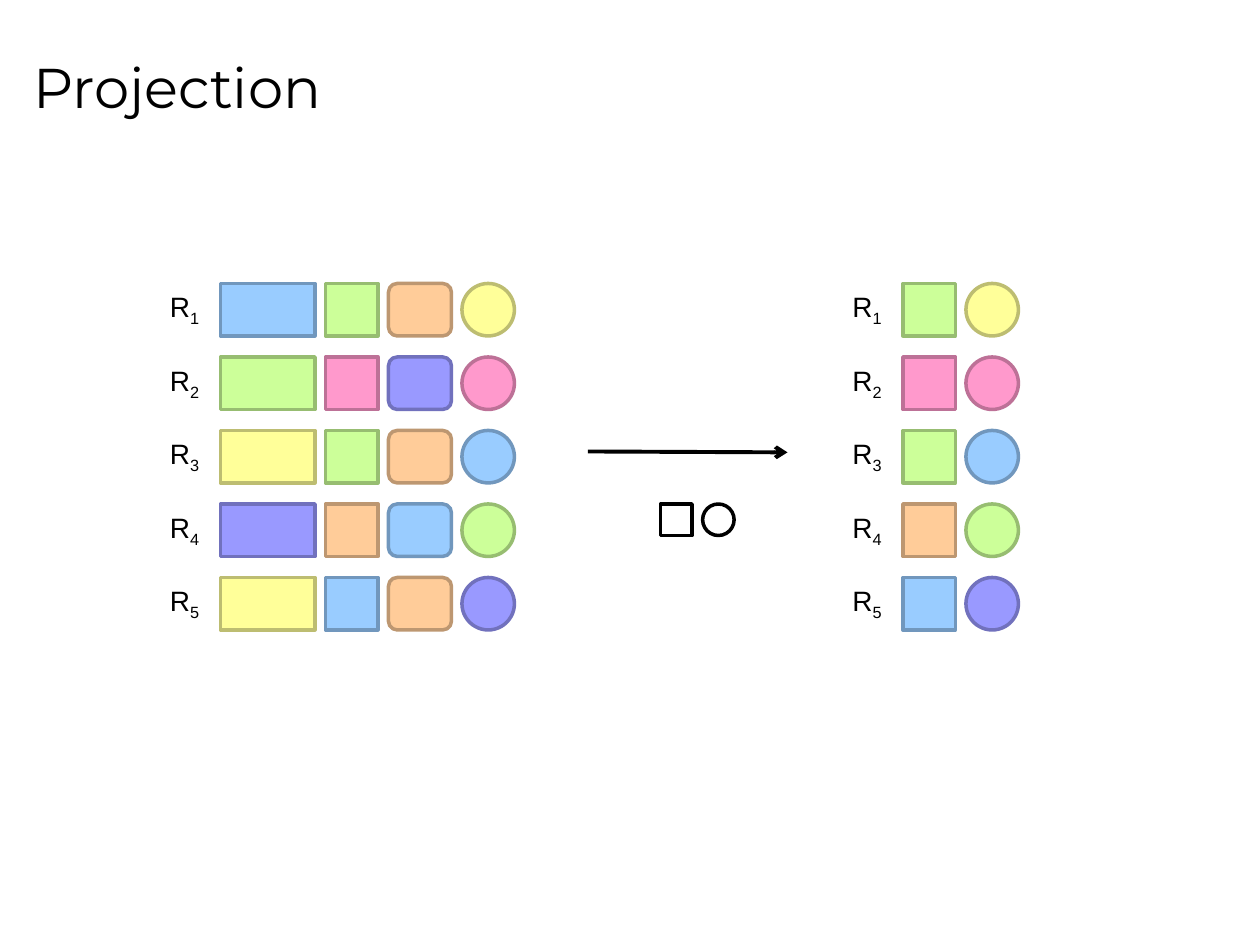
from lxml import etree
from pptx import Presentation
from pptx import util as u
from pptx.dml import color
from pptx.enum import shapes, text
from pptx.oxml import ns

BLACK = color.RGBColor(0x00, 0x00, 0x00)
BLUE = color.RGBColor(0x99, 0xCC, 0xFF)
GREEN = color.RGBColor(0xCC, 0xFF, 0x99)
ORANGE = color.RGBColor(0xFF, 0xCC, 0x99)
YELLOW = color.RGBColor(0xFF, 0xFF, 0x99)
PINK = color.RGBColor(0xFF, 0x99, 0xCC)
VIOLET = color.RGBColor(0x99, 0x99, 0xFF)
EDGES = {
    BLUE: color.RGBColor(0x71, 0x97, 0xBD),
    GREEN: color.RGBColor(0x97, 0xBD, 0x71),
    ORANGE: color.RGBColor(0xBD, 0x97, 0x71),
    YELLOW: color.RGBColor(0xBD, 0xBD, 0x71),
    PINK: color.RGBColor(0xBD, 0x71, 0x97),
    VIOLET: color.RGBColor(0x71, 0x71, 0xBD),
}

RECT = shapes.MSO_SHAPE.RECTANGLE
ROUNDED = shapes.MSO_SHAPE.ROUNDED_RECTANGLE
OVAL = shapes.MSO_SHAPE.OVAL

RECORDS = [
    (BLUE, GREEN, ORANGE, YELLOW),
    (GREEN, PINK, VIOLET, PINK),
    (YELLOW, GREEN, ORANGE, BLUE),
    (VIOLET, ORANGE, BLUE, GREEN),
    (YELLOW, BLUE, ORANGE, VIOLET),
]
ATTRIBUTES = [(RECT, 54), (RECT, 30), (ROUNDED, 36), (OVAL, 30)]
PROJECTED = (1, 3)
TOP, ROW_PITCH, CELL_HEIGHT, GAP = 162, 42, 30, 6


def assign(target, values):
    for key, value in values.items():
        setattr(target, key, value)


class Deck:
    """Draw relation diagrams on the current slide in one shared style."""

    title_font = {"name": "Montserrat", "size": u.Pt(32)}
    label_font = {"name": "Arial", "size": u.Pt(16)}
    title_frame = {"word_wrap": True, "vertical_anchor": text.MSO_ANCHOR.MIDDLE}
    label_frame = {"word_wrap": False, "auto_size": text.MSO_AUTO_SIZE.SHAPE_TO_FIT_TEXT}

    def __init__(self, width, height):
        self.prs = Presentation()
        assign(self.prs, {"slide_width": u.Pt(width), "slide_height": u.Pt(height)})
        self.slide = self.prs.slides.add_slide(self.prs.slide_layouts[6])

    def text_box(self, left, top, width, height, frame_format):
        box = self.slide.shapes.add_textbox(*map(u.Pt, (left, top, width, height)))
        assign(box.text_frame, frame_format)
        return box.text_frame.paragraphs[0]

    def run(self, paragraph, wording, font_format):
        run = paragraph.add_run()
        run.text = wording
        assign(run.font, font_format)
        run.font.color.rgb = BLACK
        return run

    def title(self, wording):
        heading = self.text_box(12, 9, 684, 80.5, self.title_frame)
        self.run(heading, wording, self.title_font)

    def label(self, left, top, number):
        record_name = self.text_box(left, top, 32.5, 26.5, self.label_frame)
        self.run(record_name, "R", self.label_font)
        subscript = self.run(record_name, str(number), self.label_font)
        subscript.font._element.set("baseline", "-25000")

    def cell(self, kind, left, top, width, height, fill=None, parent=None):
        owner = parent or self.slide
        cell = owner.shapes.add_shape(kind, *map(u.Pt, (left, top, width, height)))
        cell.shadow.inherit = False
        if fill is None:
            cell.fill.background()
        else:
            cell.fill.solid()
            cell.fill.fore_color.rgb = fill
        cell.line.color.rgb = EDGES.get(fill, BLACK)
        cell.line.width = u.Pt(2)

    def relation(self, label_left, columns):
        for row, record in enumerate(RECORDS):
            top = TOP + row * ROW_PITCH
            self.label(label_left, top, row + 1)
            left = label_left + 36
            for column in columns:
                kind, width = ATTRIBUTES[column]
                self.cell(kind, left, top, width, CELL_HEIGHT, record[column])
                left += width + GAP

    def arrow(self, x1, y1, x2, y2):
        arrow = self.slide.shapes.add_connector(
            shapes.MSO_CONNECTOR.STRAIGHT, *map(u.Pt, (x1, y1, x2, y2)))
        arrow.line.color.rgb = BLACK
        arrow.line.width = u.Pt(2.25)
        properties = arrow._element.spPr
        etree.SubElement(properties.get_or_add_ln(), ns.qn("a:tailEnd"), type="arrow")
        etree.SubElement(properties, ns.qn("a:effectLst"))

    def legend(self, left, top, size, pitch):
        legend = self.slide.shapes.add_group_shape()
        for index, column in enumerate(PROJECTED):
            kind = ATTRIBUTES[column][0]
            self.cell(kind, left + index * pitch, top, size, size, parent=legend)


def main():
    deck = Deck(720, 540)
    deck.title("Projection")
    deck.relation(90, range(len(ATTRIBUTES)))
    deck.arrow(336, 258, 450, 258.5)
    deck.legend(377.5, 288, 18, 24)
    deck.relation(480, PROJECTED)
    deck.prs.save("out.pptx")


if __name__ == "__main__":
    main()
